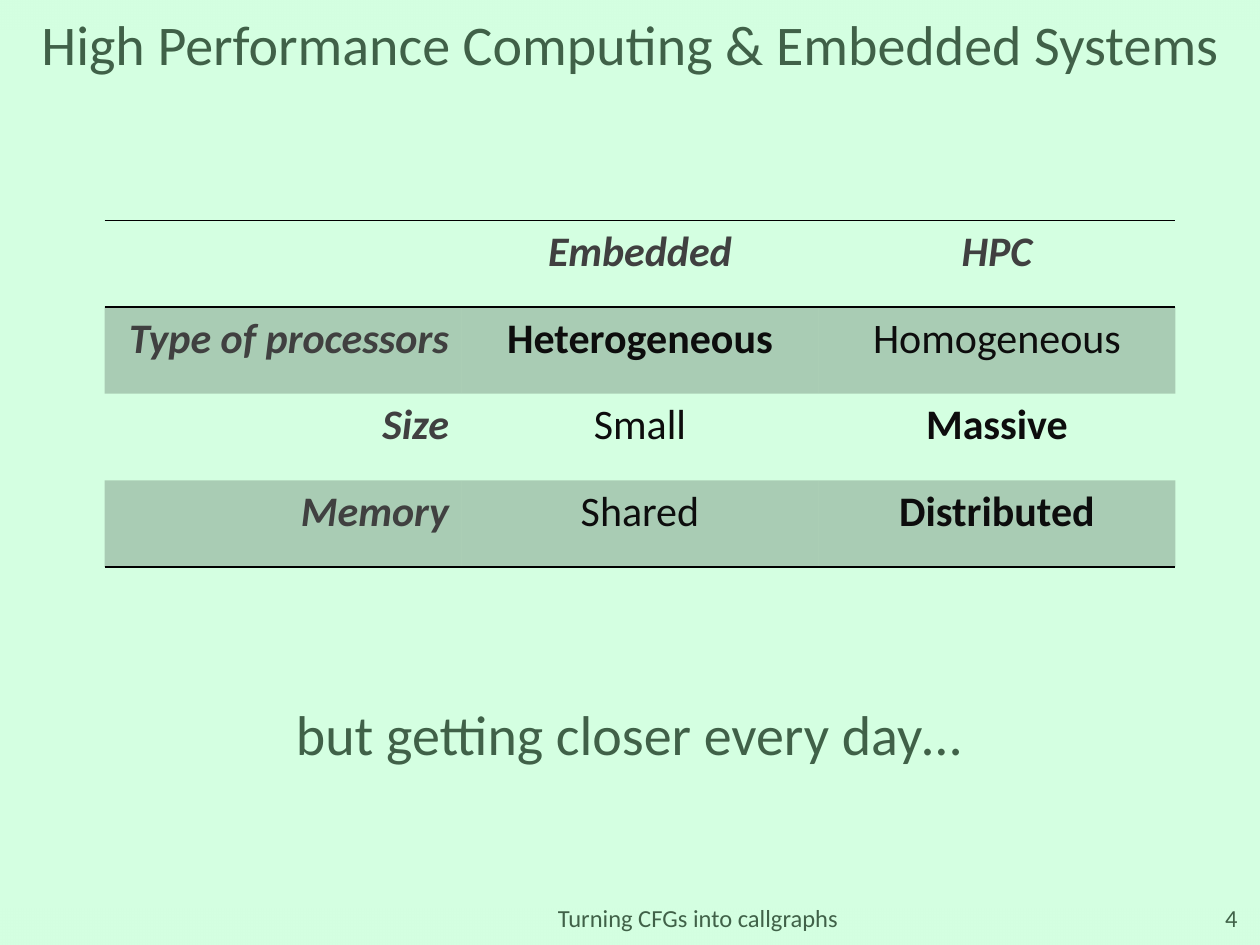
from lxml import etree
from pptx import Presentation
from pptx.dml.color import RGBColor
from pptx.enum.shapes import MSO_SHAPE
from pptx.enum.text import MSO_ANCHOR, MSO_AUTO_SIZE, PP_ALIGN
from pptx.oxml.ns import qn
from pptx.util import Inches, Pt

RECTANGLE = MSO_SHAPE.RECTANGLE
LEFT, CENTER, RIGHT = PP_ALIGN.LEFT, PP_ALIGN.CENTER, PP_ALIGN.RIGHT
TOP, MIDDLE = MSO_ANCHOR.TOP, MSO_ANCHOR.MIDDLE
NO_AUTOFIT = MSO_AUTO_SIZE.NONE

MINT = RGBColor(0xD4, 0xFF, 0xE1)
GREEN = RGBColor(0x40, 0x61, 0x48)
HEADING_GRAY = RGBColor(0x40, 0x40, 0x40)
NEAR_BLACK = RGBColor(0x0D, 0x0D, 0x0D)
BLACK = RGBColor(0, 0, 0)

FONT = "Calibri"
NO_STYLE = "{2D5ABB26-0587-4C30-8999-92F81FD0307C}"
BAND_OPACITY = 20  # percent

ROWS = [
    ["", "Embedded", "HPC"],
    ["Type of processors", "Heterogeneous", "Homogeneous"],
    ["Size", "Small", "Massive"],
    ["Memory", "Shared", "Distributed"],
]
EMPHASIZED = {"Heterogeneous", "Massive", "Distributed"}


def write(text_frame, text, size, color, alignment, bold=False, italic=False):
    paragraph = text_frame.paragraphs[0]
    paragraph.text = text
    paragraph.alignment = alignment
    font = paragraph.font
    font.name, font.size = FONT, Pt(size)
    font.bold, font.italic = bold, italic
    font.color.rgb = color


def set_opacity(color, percent):
    etree.SubElement(color, qn("a:alpha"), val=str(percent * 1000))


def add_edge_band(slide, left, top, thickness, rotation, end_opacity):
    """Lay a turned gradient strip along a slide edge, behind everything else."""
    band = slide.shapes.add_shape(
        RECTANGLE, Inches(left), Inches(top), Inches(thickness), Inches(10))
    band.rotation = rotation
    band.shadow.inherit = False
    band.line.fill.background()
    band.fill.gradient()
    band.fill.gradient_angle = 0
    for stop in band.fill.gradient_stops:
        stop.color.rgb = MINT
    end_color = list(band._element.spPr.iter(qn("a:srgbClr")))[-1]
    set_opacity(end_color, end_opacity)
    slide.shapes.title._element.addprevious(band._element)


def add_title(slide, text):
    title = slide.shapes.title
    title.left, title.top = Inches(0.17), Inches(0.17)
    title.width, title.height = Inches(9.67), Inches(0.35)
    frame = title.text_frame
    frame.auto_size = NO_AUTOFIT
    frame.vertical_anchor = MIDDLE
    frame.margin_top = frame.margin_bottom = 0
    write(frame, text, 32, GREEN, CENTER)


def add_label(slide, text, left, top, width, height, size, alignment, anchor=MIDDLE):
    box = slide.shapes.add_textbox(Inches(left), Inches(top), Inches(width), Inches(height))
    frame = box.text_frame
    frame.word_wrap = True
    frame.vertical_anchor = anchor
    write(frame, text, size, GREEN, alignment)


def add_border(cell, tag):
    line = etree.SubElement(cell._tc.get_or_add_tcPr(), qn(tag), w=str(Pt(1)))
    fill = etree.SubElement(line, qn("a:solidFill"))
    etree.SubElement(fill, qn("a:srgbClr"), val=str(BLACK))


def shade(cell):
    cell.fill.solid()
    cell.fill.fore_color.rgb = BLACK
    color = cell._tc.tcPr.find(qn("a:solidFill")).find(qn("a:srgbClr"))
    set_opacity(color, BAND_OPACITY)


def add_comparison_table(slide):
    frame = slide.shapes.add_table(
        len(ROWS), len(ROWS[0]), Inches(0.83), Inches(1.75), Inches(8.5), Inches(2.75))
    table = frame.table
    table._tbl.tblPr.find(qn("a:tableStyleId")).text = NO_STYLE
    table.horz_banding = False
    last_row = len(ROWS) - 1

    for row, texts in enumerate(ROWS):
        for column, text in enumerate(texts):
            cell = table.cell(row, column)
            heading = row == 0 or column == 0
            write(cell.text_frame, text, 24,
                  HEADING_GRAY if heading else NEAR_BLACK,
                  RIGHT if column == 0 else CENTER,
                  bold=heading or text in EMPHASIZED, italic=heading)
            # Rules above and below the header, and under the last row
            if row == 0:
                add_border(cell, "a:lnT")
            if row in (0, last_row):
                add_border(cell, "a:lnB")
            # Odd rows are shaded
            if row % 2:
                shade(cell)
            else:
                cell.fill.background()


def main():
    presentation = Presentation()
    presentation.slide_width, presentation.slide_height = Inches(10), Inches(7.5)
    slide = presentation.slides.add_slide(presentation.slide_layouts[5])
    slide.background.fill.solid()
    slide.background.fill.fore_color.rgb = MINT

    # Bottom and top edge bands
    add_edge_band(slide, 4.77, 2.44, 0.46, 90, 70)
    add_edge_band(slide, 4.83, -4.93, 0.33, 270, 75)

    add_title(slide, "High Performance Computing & Embedded Systems")

    # Footer
    add_label(slide, "4", 9.17, 7.08, 0.75, 0.4, 14, RIGHT)
    add_label(slide, "Turning CFGs into callgraphs", 2, 7.08, 7.08, 0.4, 14, CENTER)

    # Closing remark and comparison
    add_label(slide, "but getting closer every day…", 2.25, 5.5, 5.7, 0.64, 32, LEFT, TOP)
    add_comparison_table(slide)

    presentation.save("out.pptx")


if __name__ == "__main__":
    main()
